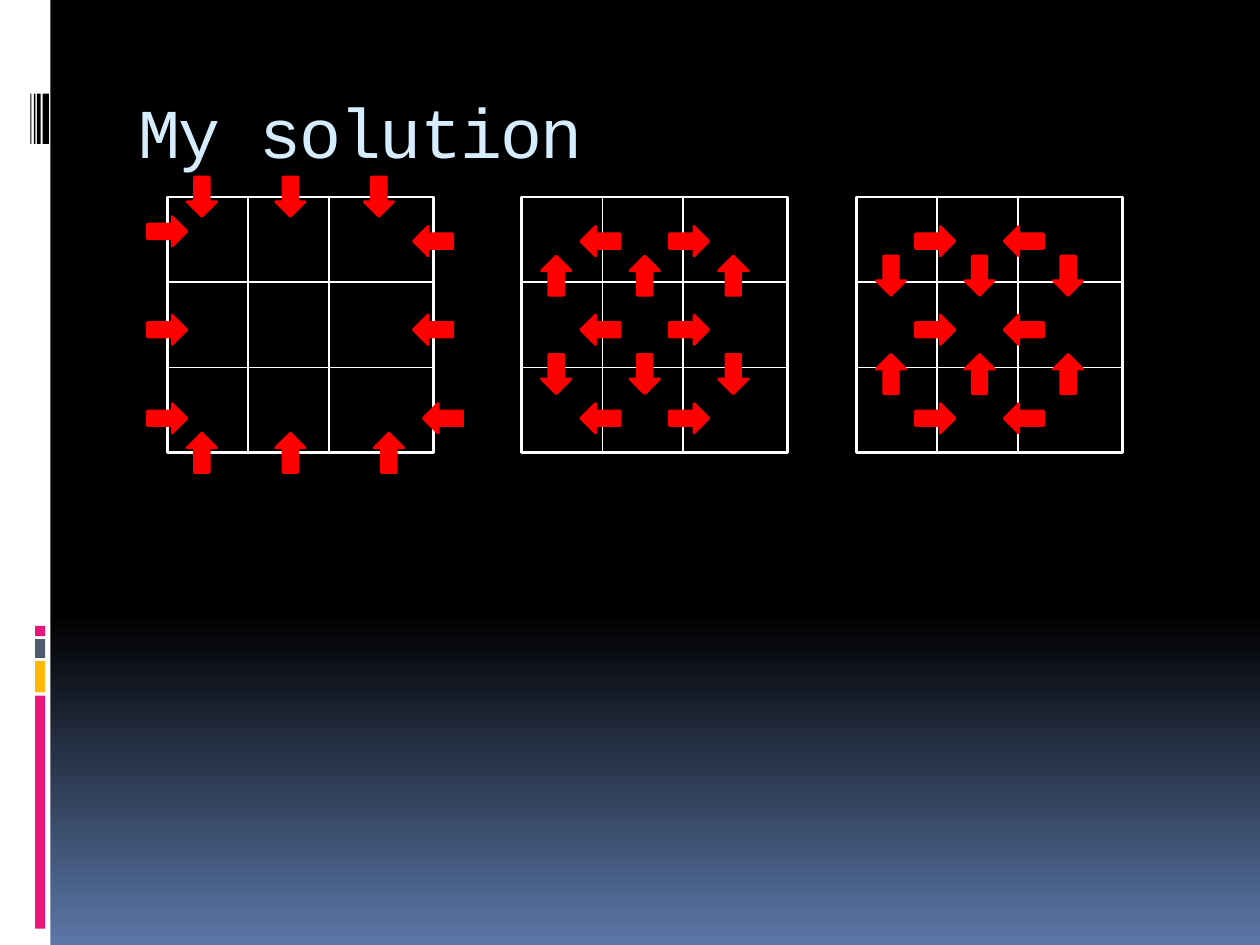
from copy import deepcopy
from dataclasses import dataclass

from lxml.etree import SubElement
from pptx import Presentation
from pptx.dml.color import RGBColor
from pptx.enum.shapes import MSO_CONNECTOR, MSO_SHAPE as Preset
from pptx.enum.text import MSO_ANCHOR
from pptx.oxml.ns import qn
from pptx.util import Pt

COLORS = {
    "black": "000000", "white": "FFFFFF", "sky": "5B77A8", "title": "D6ECFF",
    "pink": "EA157A", "amber": "FEB80A", "slate": "4E5B6F", "arrow": "FF0000",
}
BACKGROUND_STOPS = [(0, "black"), (0.65, "black"), (1, "sky")]

GRID_TOP, GRID_WIDTH, GRID_HEIGHT = 112.5, 152, 146.2
COLUMN_LINES = (46.2, 92.3)
ROW_LINES = (GRID_HEIGHT / 3, GRID_HEIGHT * 2 / 3)
GRID_LEFTS = (95.6, 298.1, 489.4)
ARROW_LENGTH, ARROW_BREADTH = 22.5, 16.9
ARROW_STEP = 50.6
FIRST_COLUMN, FIRST_ROW = 11.3, 16.9
INNER_COLUMNS = (33.8, 84.4)
INNER_ROWS = (33.8, 90)


@dataclass(frozen=True)
class Block:
    left: float
    top: float
    width: float
    height: float
    color: str


@dataclass(frozen=True)
class Arrow:
    """An arrow placed by its offset from the grid's top left corner."""
    preset: Preset
    x: float
    y: float


SIDEBAR = [
    Block(0, 0, 28.8, 540, "white"),
    Block(20, 397.5, 5.8, 133.2, "pink"),
    Block(20, 377.7, 5.8, 18, "amber"),
    Block(20, 365.2, 5.8, 10.8, "slate"),
    Block(20, 357.7, 5.8, 5.8, "pink"),
]
BARCODE = [
    Block(left, 53.5, width, 28.8, "black")
    for left, width in ((24.4, 3.6), (21.1, 2.2), (19.4, 0.9), (17.4, 0.6))
]


def rgb(name: str) -> RGBColor:
    return RGBColor.from_string(COLORS[name])


def set_values(target, values: dict) -> None:
    for attribute, value in values.items():
        setattr(target, attribute, value)


def paint_background(slide) -> None:
    fill = slide.background.fill
    fill.gradient()
    fill.gradient_angle = 270
    stop_list = slide.background.fill._fill._gradFill.find(qn("a:gsLst"))
    stop_list.append(deepcopy(stop_list[-1]))
    for stop, (position, color) in zip(fill.gradient_stops, BACKGROUND_STOPS):
        stop.position = position
        stop.color.rgb = rgb(color)


def add_block(slide, block: Block) -> None:
    bar = slide.shapes.add_shape(
        Preset.RECTANGLE, Pt(block.left), Pt(block.top), Pt(block.width), Pt(block.height))
    bar.shadow.inherit = False
    bar.fill.solid()
    bar.fill.fore_color.rgb = rgb(block.color)
    bar.line.fill.background()


def add_title(slide, wording: str) -> None:
    title = slide.shapes.add_textbox(Pt(72), Pt(40.5), Pt(612), Pt(72))
    frame = title.text_frame
    set_values(frame, {
        "word_wrap": True, "vertical_anchor": MSO_ANCHOR.MIDDLE,
        "margin_top": Pt(3.6), "margin_bottom": Pt(7.2),
    })
    run = frame.paragraphs[0].add_run()
    run.text = wording
    set_values(run.font, {"name": "Courier New", "size": Pt(40)})
    run.font.color.rgb = rgb("title")
    run.font._element.set("spc", "-100")


def add_rule(group, x1: float, y1: float, x2: float, y2: float) -> None:
    rule = group.shapes.add_connector(
        MSO_CONNECTOR.STRAIGHT, Pt(x1), Pt(y1), Pt(x2), Pt(y2))
    rule.line.color.rgb = rgb("white")
    rule.line.width = Pt(0.94)
    SubElement(rule._element.spPr, qn("a:effectLst"))


def add_grid(slide, left: float) -> None:
    group = slide.shapes.add_group_shape()
    border = group.shapes.add_shape(
        Preset.RECTANGLE, Pt(left), Pt(GRID_TOP), Pt(GRID_WIDTH), Pt(GRID_HEIGHT))
    border.shadow.inherit = False
    border.fill.background()
    border.line.color.rgb = rgb("white")
    border.line.width = Pt(1.5)
    for y in ROW_LINES:
        add_rule(group, left, GRID_TOP + y, left + GRID_WIDTH, GRID_TOP + y)
    for x in COLUMN_LINES:
        add_rule(group, left + x, GRID_TOP, left + x, GRID_TOP + GRID_HEIGHT)


def add_arrow(slide, grid_left: float, arrow: Arrow) -> None:
    size = (ARROW_BREADTH, ARROW_LENGTH)
    if arrow.preset in (Preset.LEFT_ARROW, Preset.RIGHT_ARROW):
        size = size[::-1]
    pointer = slide.shapes.add_shape(
        arrow.preset, Pt(grid_left + arrow.x), Pt(GRID_TOP + arrow.y), *map(Pt, size))
    pointer.shadow.inherit = False
    pointer.fill.solid()
    pointer.fill.fore_color.rgb = rgb("arrow")
    pointer.line.color.rgb = rgb("arrow")
    pointer.line.width = Pt(1.5)


def inner_arrows(upper: Preset, lower: Preset, left: Preset, right: Preset) -> list[Arrow]:
    """Arrows on the inner lines: three per row line and three per column line."""
    steps = [ARROW_STEP * i for i in range(3)]
    vertical = [Arrow(preset, FIRST_COLUMN + step, y)
                for preset, y in zip((upper, lower), INNER_ROWS) for step in steps]
    horizontal = [Arrow(preset, x, FIRST_ROW + step)
                  for preset, x in zip((left, right), INNER_COLUMNS) for step in steps]
    return vertical + horizontal


def border_arrows() -> list[Arrow]:
    """Arrows pointing inwards across the outer border, three on each side."""
    sides = [
        (Preset.DOWN_ARROW, [(11.3, -11.3), (61.9, -11.3), (112.5, -11.3)]),
        (Preset.UP_ARROW, [(11.3, 135), (61.9, 135), (118.2, 135)]),
        (Preset.RIGHT_ARROW, [(-11.3, 11.3), (-11.3, 67.5), (-11.3, 118.1)]),
        (Preset.LEFT_ARROW, [(140.6, 16.9), (140.6, 67.5), (146.3, 118.1)]),
    ]
    return [Arrow(preset, x, y) for preset, places in sides for x, y in places]


def main() -> None:
    deck = Presentation()
    set_values(deck, {"slide_width": Pt(720), "slide_height": Pt(540)})
    slide = deck.slides.add_slide(deck.slide_layouts[6])
    paint_background(slide)
    for block in SIDEBAR + BARCODE:
        add_block(slide, block)
    add_title(slide, "My solution")

    up, down = Preset.UP_ARROW, Preset.DOWN_ARROW
    left, right = Preset.LEFT_ARROW, Preset.RIGHT_ARROW
    arrow_sets = (
        border_arrows(),
        inner_arrows(up, down, left, right),
        inner_arrows(down, up, right, left),
    )
    for grid_left, arrows in zip(GRID_LEFTS, arrow_sets):
        add_grid(slide, grid_left)
        for arrow in arrows:
            add_arrow(slide, grid_left, arrow)
    deck.save("out.pptx")


if __name__ == "__main__":
    main()
